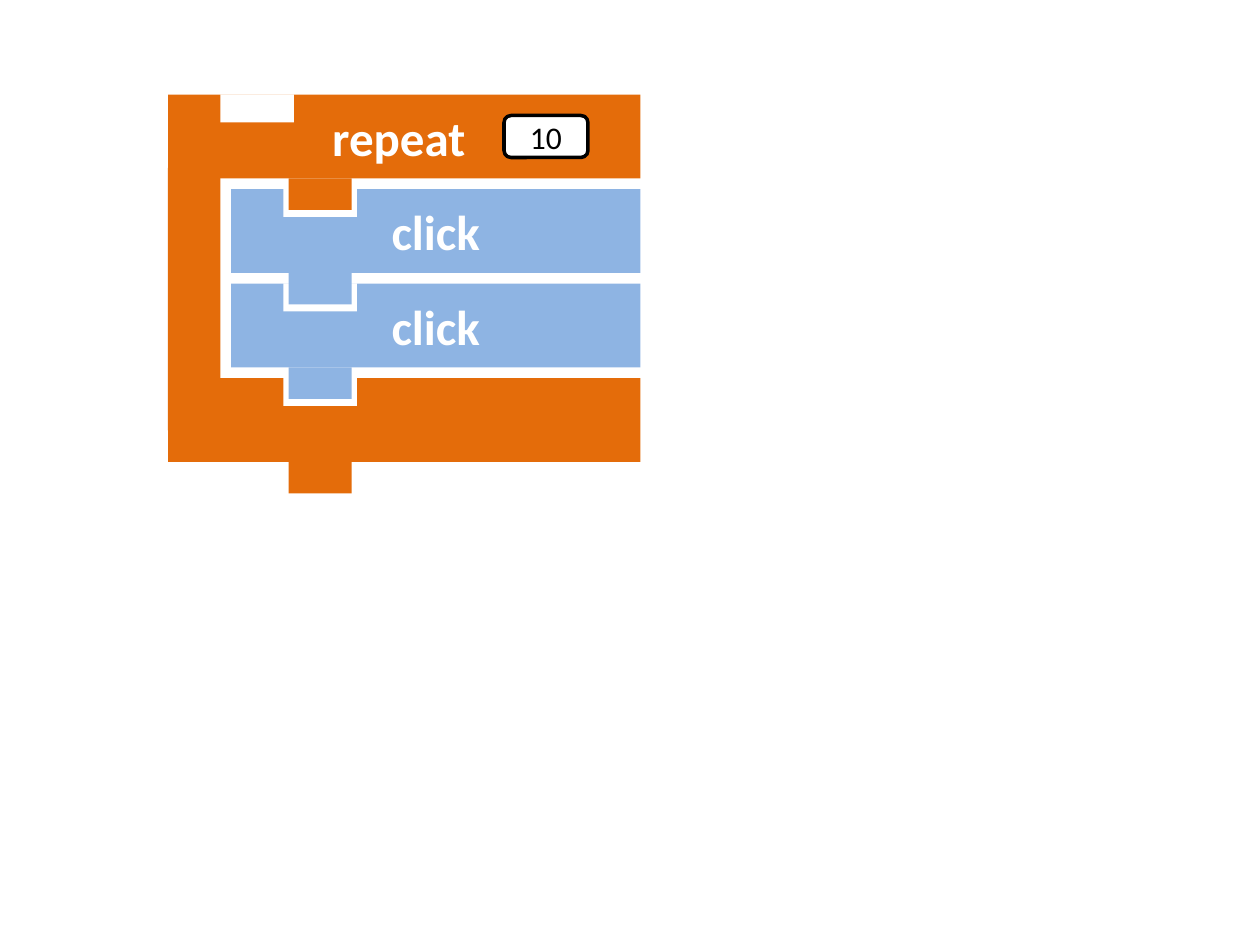
import pptx
import pptx.util
from pptx.dml.color import RGBColor
from pptx.enum.shapes import MSO_SHAPE
from pptx.enum.text import MSO_ANCHOR, PP_ALIGN

Pt = pptx.util.Pt
HUES = {"loop": "E46C0A", "click": "8EB4E3", "white": "FFFFFF", "black": "000000"}
BAR = 48    # height of a block
STEP = 54   # from one block to the next
INSET = 36  # indent of the inner blocks
TAB = 69    # offset of the tab from the left of the loop


def tint(name):
    return RGBColor.from_string(HUES[name])


def add_box(shapes, box, hue, kind=MSO_SHAPE.RECTANGLE):
    shape = shapes.add_shape(kind, *map(Pt, box))
    shape.shadow.inherit = False
    shape.fill.solid()
    shape.fill.fore_color.rgb = tint(hue)
    shape.line.fill.background()
    return shape


def set_text(shape, text, size, hue, bold=False):
    frame = shape.text_frame
    frame.text = text
    frame.vertical_anchor = MSO_ANCHOR.MIDDLE
    para = frame.paragraphs[0]
    para.alignment = PP_ALIGN.CENTER
    font = para.runs[0].font
    font.name, font.size, font.bold = "Calibri", Pt(size), bold
    font.color.rgb = tint(hue)


def add_block(slide, box, hue, notch, tab, text=None):
    """Draw a grouped bar with a notch on top and a tab below."""
    left, top, width, height = box
    shapes = slide.shapes.add_group_shape().shapes
    bar = add_box(shapes, box, hue)
    if text:
        set_text(bar, text, 28, "white", True)
    add_box(shapes, (left + notch, top, 42, 16), "white")
    add_box(shapes, (left + tab, top + height, 36, 18), hue)


def add_loop(slide, box):
    """Draw a repeat block around two click blocks, lowest first."""
    left, top, width, height = box
    add_block(slide, (left, top + 3 * STEP, width, BAR), "loop", 66, TAB)
    for row in (2, 1):
        add_block(slide, (left + INSET, top + row * STEP, width - INSET, BAR),
                  "click", 30, TAB - INSET, "click")
    add_block(slide, (left, top, width, BAR), "loop", 30, TAB, "repeat ")

    count = add_box(slide.shapes, (left + 192, top + 12, 48, 24), "white",
                    MSO_SHAPE.ROUNDED_RECTANGLE)
    count.line.color.rgb = tint("black")
    count.line.width = Pt(2)
    set_text(count, "10", 18, "black")

    add_box(slide.shapes, (left, top + 42, 30, height - 60), "loop")


def main():
    deck = pptx.Presentation()
    deck.slide_width, deck.slide_height = Pt(720), Pt(540)
    slide = deck.slides.add_slide(deck.slide_layouts[6])
    add_loop(slide, (96, 54, 270, 3 * STEP + BAR))
    deck.save("out.pptx")


if __name__ == "__main__":
    main()
